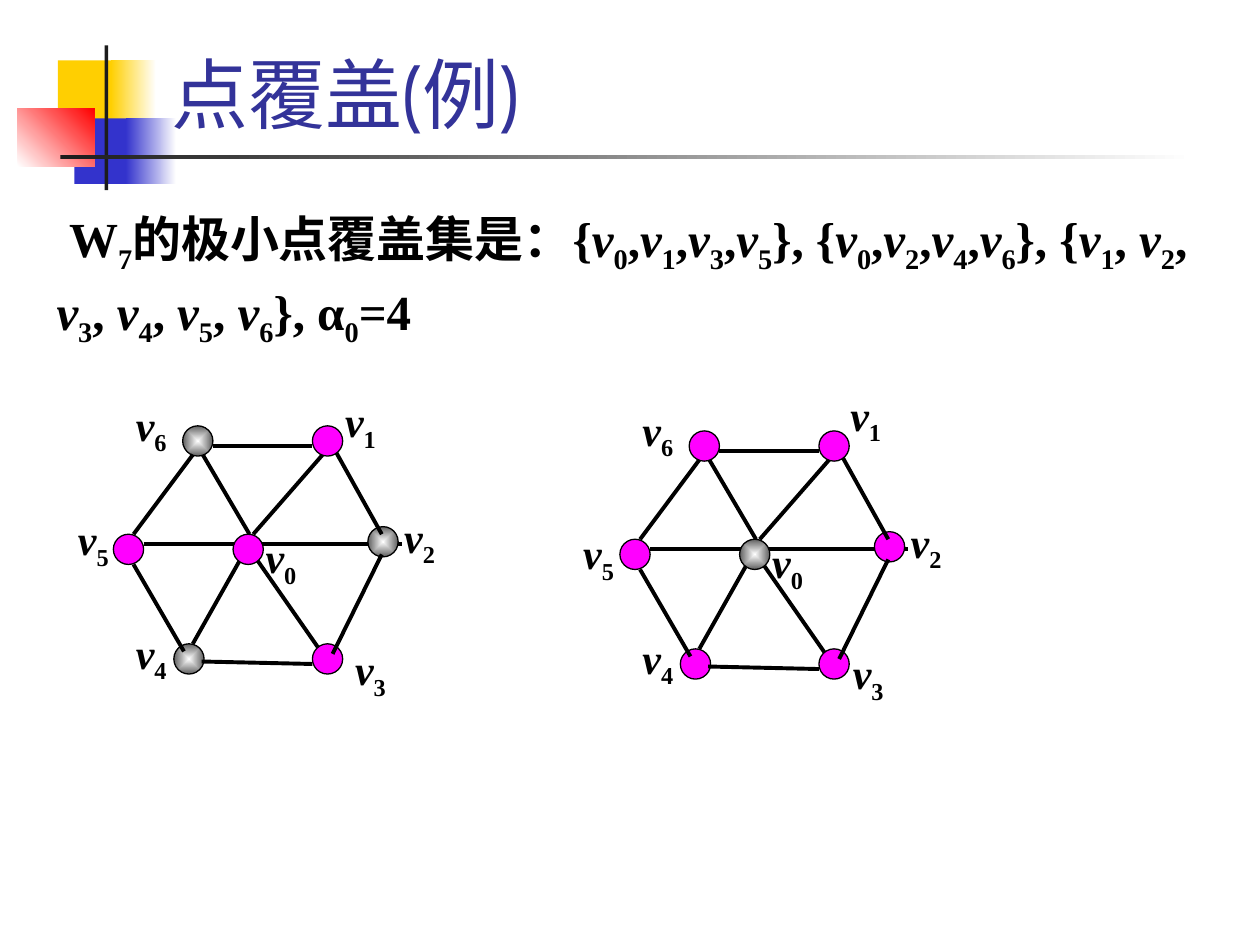
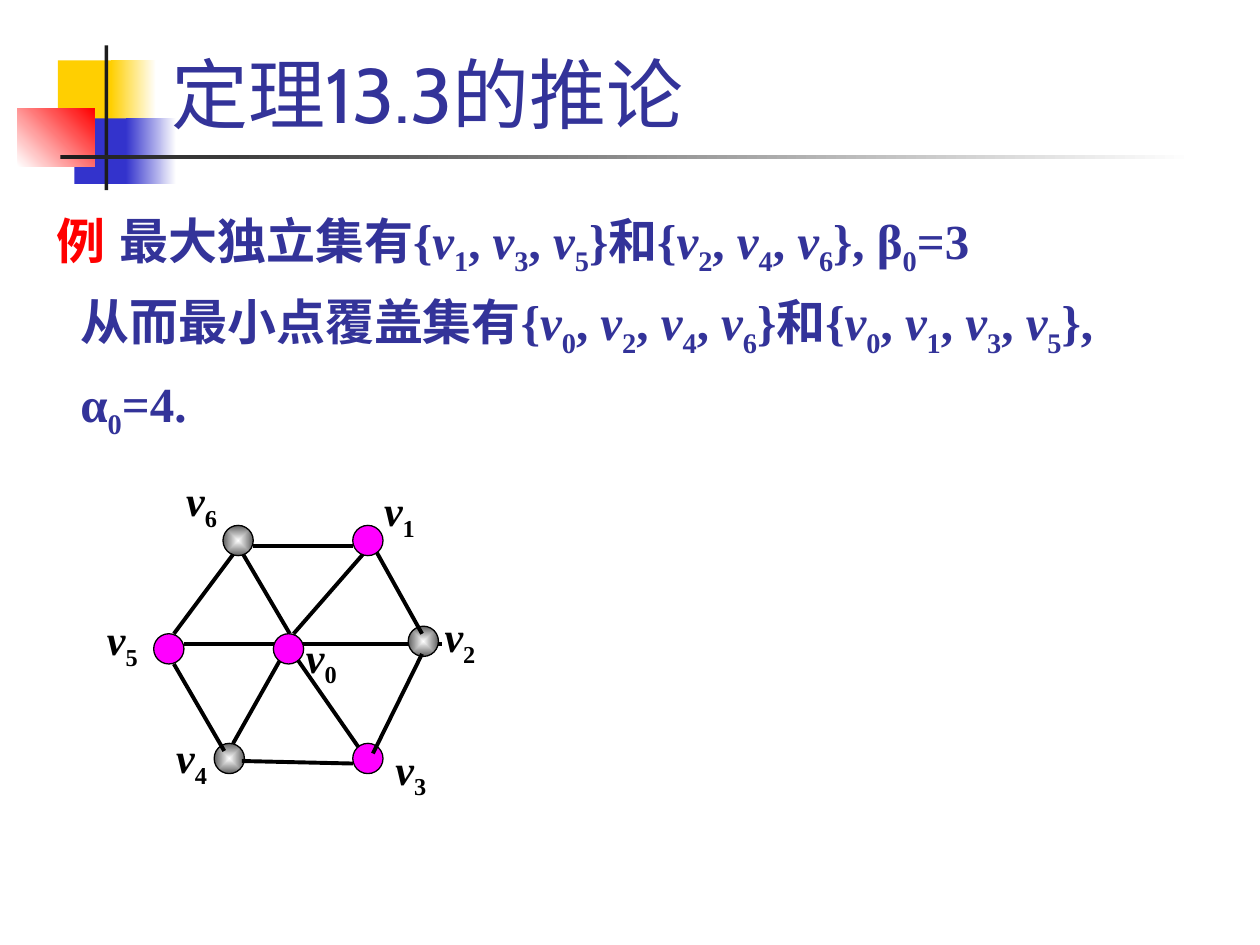
from itertools import groupby

from lxml import etree
from pptx import Presentation
from pptx.dml.color import RGBColor
from pptx.enum import shapes, text
from pptx.oxml import ns
from pptx.util import Inches, Pt

# Colours and fonts
BLACK = RGBColor(0x00, 0x00, 0x00)
WHITE = RGBColor(0xFF, 0xFF, 0xFF)
CHARCOAL = RGBColor(0x1C, 0x1C, 0x1C)
GRAY = RGBColor(0x5F, 0x5F, 0x5F)
YELLOW = RGBColor(0xFF, 0xCF, 0x01)
BLUE = RGBColor(0x33, 0x33, 0xCC)
NAVY = RGBColor(0x33, 0x33, 0x99)
RED = RGBColor(0xFF, 0x00, 0x00)
MAGENTA = RGBColor(0xFF, 0x00, 0xFF)
TITLE_FONT = "Cabin"
BODY_FONT = "Times New Roman"

# Decoration behind every title: box, first colour, last colour, angle
DECORATION = [
    ((0.46, 0.48, 0.48, 0.52), YELLOW, None, 0),
    ((0.88, 0.48, 0.36, 0.52), YELLOW, WHITE, 0),
    ((0.59, 0.94, 0.46, 0.52), BLUE, None, 0),
    ((1.0, 0.94, 0.4, 0.52), BLUE, WHITE, 0),
    ((0.14, 0.86, 0.61, 0.46), WHITE, RED, 45),
    ((0.83, 0.36, 0.03, 1.15), CHARCOAL, None, 0),
    ((0.48, 1.23, 9, 0.03), CHARCOAL, WHITE, 0),
]

# The wheel W7: vertex corners, edges below and above the vertices, labels
VERTEX_SIZE = 0.24
VERTICES = {
    0: (1.85, 4.24), 4: (1.38, 5.11), 3: (2.48, 5.11), 2: (2.92, 4.18),
    5: (0.9, 4.24), 6: (1.45, 3.38), 1: (2.48, 3.38),
}
EDGES_BELOW = [
    (1.53, 5.11, 1.93, 4.4), (2.01, 4.4, 2.56, 5.19),
    (1.14, 4.32, 3.19, 4.32), (1.61, 3.61, 1.98, 4.24),
]
EDGES_ABOVE = [
    (1.06, 4.24, 1.53, 3.61), (2.64, 3.54, 3.03, 4.24),
    (1.06, 4.48, 1.46, 5.17), (2.64, 5.19, 3.03, 4.4),
    (1.6, 5.25, 2.48, 5.27), (2.56, 3.61, 2.01, 4.24),
    (1.69, 3.54, 2.48, 3.54),
]
LABELS = {
    1: (2.64, 3.09), 0: (2.01, 4.17), 2: (3.11, 4.01), 3: (2.72, 5.06),
    5: (0.52, 4.03), 6: (0.98, 3.12), 4: (0.98, 4.93),
}

# Slide content; a paragraph is (pieces of coloured text, layout)
SLIDES = [
    {
        "title": "点覆盖(例)",
        "body_box": (0.35, 1.55, 9.29, 1.34),
        "body": [
            ([("W7的极小点覆盖集是：{v0,v1,v3,v5}, {v0,v2,v4,v6}, "
               "{v1, v2, v3, v4, v5, v6}, α0=4", BLACK)],
             {"first_indent": 0.1, "line_spacing": 1.1}),
        ],
        "graphs": [
            {"offset": (0, 0), "cover": {0, 1, 3, 5}, "moved_labels": {}},
            {"offset": (4.02, 0.04), "cover": {1, 2, 3, 4, 5, 6},
             "moved_labels": {1: (2.63, 3.0), 3: (2.65, 5.05),
                              5: (0.51, 4.1)}},
        ],
    },
    {
        "title": "定理13.3的推论",
        "body_box": (0.35, 1.62, 9.29, 3.23),
        "body": [
            ([("例\t", RED),
              ("最大独立集有{v1, v3, v5}和{v2, v4, v6}, β0=3", NAVY)],
             {"tab": 0.58}),
            ([("从而最小点覆盖集有{v0, v2, v4, v6}和{v0, v1, v3, v5},", NAVY)],
             {"left": 0.19}),
            ([("α0=4.", NAVY)], {"left": 0.19}),
        ],
        "graphs": [
            {"offset": (0.32, 0.79), "cover": {0, 1, 3, 5},
             "moved_labels": {1: (2.63, 3.01), 4: (0.98, 4.97),
                              5: (0.43, 4.03), 6: (1.06, 2.93)}},
        ],
    },
]


def inches(values):
    return [Inches(value) for value in values]


def add_xml(parent, tag, **attributes):
    return etree.SubElement(parent, ns.qn(tag), attributes)


def paint(shape, first, last=None, angle=0, radial=False):
    """Fill a shape with one colour, or with a gradient of two."""
    if last is None:
        shape.fill.solid()
        shape.fill.fore_color.rgb = first
        return
    shape.fill.gradient()
    for stop, color in zip(shape.fill.gradient_stops, (first, last)):
        stop.color.rgb = color
    if not radial:
        shape.fill.gradient_angle = angle
        return
    gradient = shape._element.spPr.find(ns.qn("a:gradFill"))
    gradient.remove(gradient.find(ns.qn("a:lin")))
    center = add_xml(gradient, "a:path")
    center.set("path", "shape")
    add_xml(center, "a:fillToRect", l="50000", t="50000", r="50000", b="50000")


def add_run(paragraph, words, size, color, font=BODY_FONT, bold=True):
    run = paragraph.add_run()
    run.text = words
    run.font.size = Pt(size)
    run.font.bold = bold
    run.font.name = font
    run.font.color.rgb = color
    return run


def math_style(pair):
    previous, character = pair
    if character == "v":
        return "variable"
    if character.isdigit() and previous in "vWαβ":
        return "subscript"
    return "plain"


def add_math(paragraph, words, size, color):
    """Add words with italic v and lowered indices."""
    pairs = zip(" " + words, words)
    for style, part in groupby(pairs, math_style):
        run = add_run(paragraph, "".join(c for _, c in part), size, color)
        if style == "variable":
            run.font.italic = True
        elif style == "subscript":
            run._r.get_or_add_rPr().set("baseline", "-25000")


def add_decoration(slide):
    for box, first, last, angle in DECORATION:
        shape = slide.shapes.add_shape(
            shapes.MSO_SHAPE.RECTANGLE, *inches(box))
        shape.shadow.inherit = False
        shape.line.fill.background()
        paint(shape, first, last, angle)


def add_title(slide, title):
    frame = slide.shapes.add_textbox(*inches((1.26, 0.08, 8.52, 1.07))).text_frame
    frame.word_wrap = True
    frame.vertical_anchor = text.MSO_ANCHOR.BOTTOM
    run = add_run(frame.paragraphs[0], title, 44, NAVY, TITLE_FONT, False)
    # Dark shadow to the lower right of the letters
    fill = run._r.get_or_add_rPr().find(ns.qn("a:solidFill"))
    effects = etree.Element(ns.qn("a:effectLst"))
    shadow = add_xml(effects, "a:outerShdw", dist="25400", dir="2700000")
    add_xml(shadow, "a:srgbClr", val=str(BLACK))
    fill.addnext(effects)


def add_body(slide, box, paragraphs):
    frame = slide.shapes.add_textbox(*inches(box)).text_frame
    frame.word_wrap = True
    for index, (pieces, layout) in enumerate(paragraphs):
        paragraph = frame.add_paragraph() if index else frame.paragraphs[0]
        properties = paragraph._p.get_or_add_pPr()
        properties.set("marL", str(Inches(layout.get("left", 0))))
        properties.set("indent", str(Inches(layout.get("first_indent", 0))))
        if "tab" in layout:
            tabs = add_xml(properties, "a:tabLst")
            add_xml(tabs, "a:tab", pos=str(Inches(layout["tab"])), algn="l")
        if "line_spacing" in layout:
            paragraph.line_spacing = layout["line_spacing"]
        if index:
            paragraph.space_before = Pt(8.4)
        for words, color in pieces:
            add_math(paragraph, words, 28, color)


def add_graph(slide, offset, cover, moved_labels):
    """Draw the wheel with the vertices of the cover in magenta."""
    group = slide.shapes.add_group_shape()
    dx, dy = offset

    def add_edges(edges):
        for x1, y1, x2, y2 in edges:
            edge = group.shapes.add_connector(
                shapes.MSO_CONNECTOR.STRAIGHT,
                *inches((x1 + dx, y1 + dy, x2 + dx, y2 + dy)))
            edge.line.color.rgb = BLACK
            edge.line.width = Pt(2.25)
            add_xml(edge._element.spPr, "a:effectLst")

    def add_vertex(number):
        x, y = VERTICES[number]
        vertex = group.shapes.add_shape(
            shapes.MSO_SHAPE.OVAL,
            *inches((x + dx, y + dy, VERTEX_SIZE, VERTEX_SIZE)))
        vertex.shadow.inherit = False
        vertex.line.color.rgb = BLACK
        vertex.line.width = Pt(0.75)
        if number in cover:
            paint(vertex, MAGENTA)
        else:
            paint(vertex, WHITE, GRAY, radial=True)

    # Vertex 1 lies over the edges, the others under the upper ones
    add_edges(EDGES_BELOW)
    for number in VERTICES:
        if number != 1:
            add_vertex(number)
    add_edges(EDGES_ABOVE)
    add_vertex(1)

    # Vertex labels
    for number, (x, y) in {**LABELS, **moved_labels}.items():
        label = group.shapes.add_textbox(*inches((x + dx, y + dy, 0.46, 0.5)))
        frame = label.text_frame
        frame.word_wrap = False
        frame.auto_size = text.MSO_AUTO_SIZE.SHAPE_TO_FIT_TEXT
        add_math(frame.paragraphs[0], f"v{number}", 24, BLACK)


def main():
    presentation = Presentation()
    presentation.slide_width = Inches(10)
    presentation.slide_height = Inches(7.5)
    for content in SLIDES:
        slide = presentation.slides.add_slide(presentation.slide_layouts[6])
        add_decoration(slide)
        add_title(slide, content["title"])
        add_body(slide, content["body_box"], content["body"])
        for graph in content["graphs"]:
            add_graph(slide, **graph)
    presentation.save("out.pptx")


if __name__ == "__main__":
    main()
